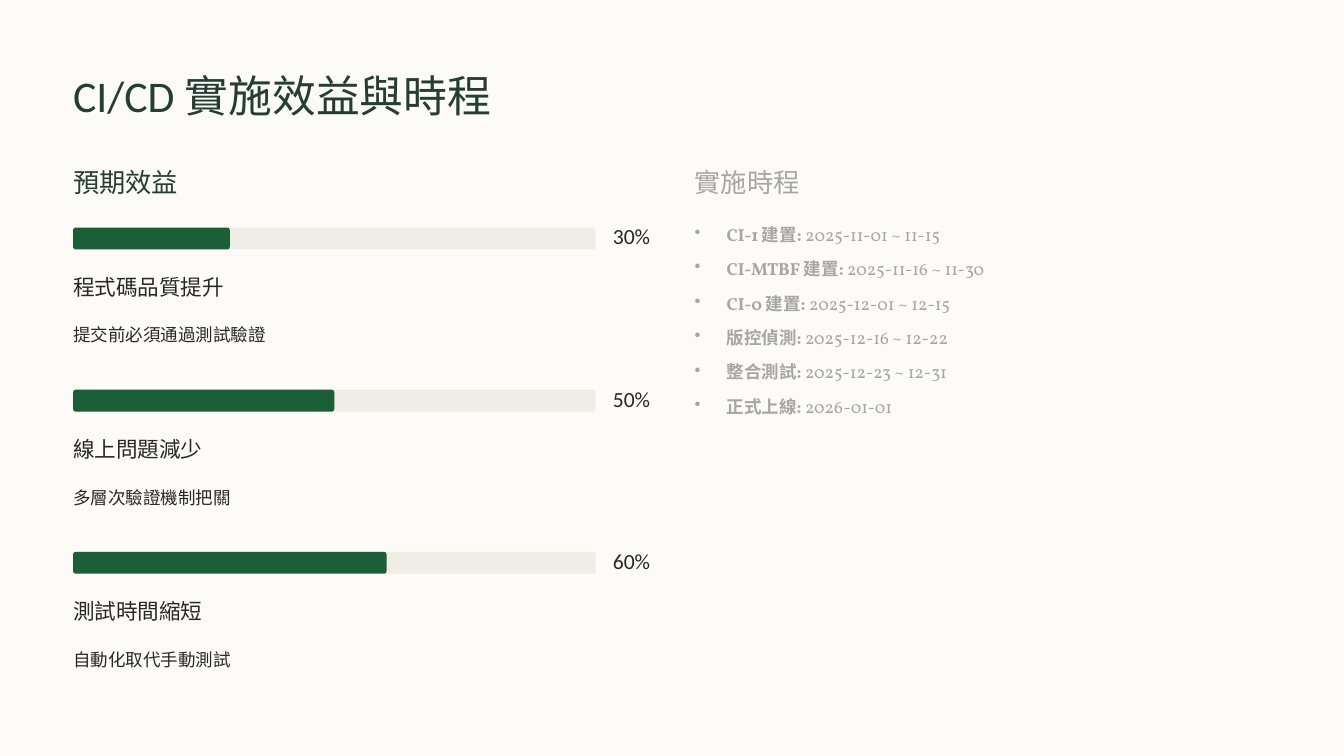
from lxml import etree
from pptx import Presentation, util as u
from pptx.dml.color import RGBColor
from pptx.enum import shapes, text
from pptx.oxml.ns import qn

COLUMNS, ROWS = 16, 9
CELL = u.Inches(1)
LEFT, RIGHT = 0.87, 8.27
COLUMN_WIDTH = 6.87
BAR_WIDTH, BAR_HEIGHT = 6.22, 0.26
FIRST_BENEFIT, BENEFIT_PITCH = 2.71, 1.93
GREEN, DARK_GREEN, TRACK = "1B5F39", "233E32", "F0EDE6"
INK, MUTED, PAPER = "2C2821", "A6A6A6", "FCFBF8"
HEADING_FONT, BODY_FONT = "Calibri", "Vollkorn"

BENEFITS = [
    (30, "程式碼品質提升", "提交前必須通過測試驗證"),
    (50, "線上問題減少", "多層次驗證機制把關"),
    (60, "測試時間縮短", "自動化取代手動測試"),
]
SCHEDULE = [
    ("CI-1 建置:", " 2025-11-01 ~ 11-15"),
    ("CI-MTBF 建置:", " 2025-11-16 ~ 11-30"),
    ("CI-0 建置:", " 2025-12-01 ~ 12-15"),
    ("版控偵測:", " 2025-12-16 ~ 12-22"),
    ("整合測試:", " 2025-12-23 ~ 12-31"),
    ("正式上線:", " 2026-01-01"),
]


def cells(*counts):
    """Turn counts of grid cells into lengths."""
    return [round(count * CELL) for count in counts]


def paint(color_format, color):
    """Set a hex colour on a fill or font colour."""
    color_format.rgb = RGBColor.from_string(color)


def prepare_frame(shape):
    """Give a text shape plain top-left text without insets and return its frame."""
    frame = shape.text_frame
    frame.margin_left = frame.margin_right = frame.margin_top = frame.margin_bottom = 0
    frame.word_wrap = False
    frame.auto_size = text.MSO_AUTO_SIZE.NONE
    frame.vertical_anchor = text.MSO_ANCHOR.TOP
    return frame


def add_run(paragraph, words, *, size, color, font=HEADING_FONT, bold=False):
    """Append formatted words to a paragraph."""
    run = paragraph.add_run()
    run.text = words
    run.font.name, run.font.size, run.font.bold = font, u.Pt(size), bold
    paint(run.font.color, color)


def write(shape, words, *, line, align=text.PP_ALIGN.LEFT, **style):
    """Write one formatted line in a text shape."""
    paragraph = prepare_frame(shape).paragraphs[0]
    paragraph.alignment = align
    paragraph.line_spacing = u.Pt(line)
    add_run(paragraph, words, **style)


def add_label(slide, area, words, **style):
    """Add a text box on the grid."""
    write(slide.shapes.add_textbox(*cells(*area)), words, **style)


def add_bar(slide, top, width, color):
    """Add a slightly rounded bar."""
    bar = slide.shapes.add_shape(
        shapes.MSO_SHAPE.ROUNDED_RECTANGLE, *cells(LEFT, top, width, BAR_HEIGHT))
    bar.adjustments[0] = 0.12
    bar.shadow.inherit = False
    bar.fill.solid()
    paint(bar.fill.fore_color, color)
    bar.line.fill.background()


def add_benefit(slide, top, percent, name, detail):
    """Add a progress bar with its value, name and detail."""
    add_bar(slide, top, BAR_WIDTH, TRACK)
    add_bar(slide, top, BAR_WIDTH * percent / 100, GREEN)
    add_label(slide, (7.24, top, 0.5, BAR_HEIGHT), f"{percent}%", size=18.5,
              line=18.5, color=INK, align=text.PP_ALIGN.RIGHT)
    add_label(slide, (LEFT, top + 0.53, 2.64, 0.33), name, size=18.5,
              line=23.5, color=INK)
    add_label(slide, (LEFT, top + 1.07, COLUMN_WIDTH, 0.34), detail, size=15,
              line=24, color=INK, font=BODY_FONT)


def add_bullet(paragraph):
    """Give a paragraph a hanging round bullet."""
    properties = paragraph._p.get_or_add_pPr()
    indent = cells(0.38)[0]
    properties.set("marL", str(indent))
    properties.set("indent", str(-indent))
    etree.SubElement(properties, qn("a:buChar")).set("char", "•")


def add_schedule(slide):
    """Add the bulleted list of stages and dates."""
    box = slide.shapes.add_textbox(*cells(RIGHT, 2.58, COLUMN_WIDTH, 2.39))
    frame = prepare_frame(box)
    for index, (stage, dates) in enumerate(SCHEDULE):
        paragraph = frame.add_paragraph() if index else frame.paragraphs[0]
        add_bullet(paragraph)
        paragraph.line_spacing = u.Pt(24)
        paragraph.space_before = u.Pt(5.5 if index else 0)
        add_run(paragraph, stage, size=15, color=MUTED, font=BODY_FONT, bold=True)
        add_run(paragraph, dates, size=15, color=MUTED, font=BODY_FONT)


def main():
    """Build and save the slide."""
    presentation = Presentation()
    presentation.slide_width, presentation.slide_height = cells(COLUMNS, ROWS)
    slide = presentation.slides.add_slide(presentation.slide_layouts[5])
    slide.background.fill.solid()
    paint(slide.background.fill.fore_color, PAPER)

    title = slide.shapes.title
    title.left, title.top, title.width, title.height = cells(LEFT, 0.79, 5.27, 0.66)
    write(title, "CI/CD 實施效益與時程", size=37.5, line=47, color=DARK_GREEN)

    for left, heading, color in ((LEFT, "預期效益", DARK_GREEN), (RIGHT, "實施時程", MUTED)):
        add_label(slide, (left, 1.97, 3.16, 0.4), heading, size=22.5, line=28, color=color)
    for index, benefit in enumerate(BENEFITS):
        add_benefit(slide, FIRST_BENEFIT + index * BENEFIT_PITCH, *benefit)
    add_schedule(slide)
    presentation.save("out.pptx")


if __name__ == "__main__":
    main()
